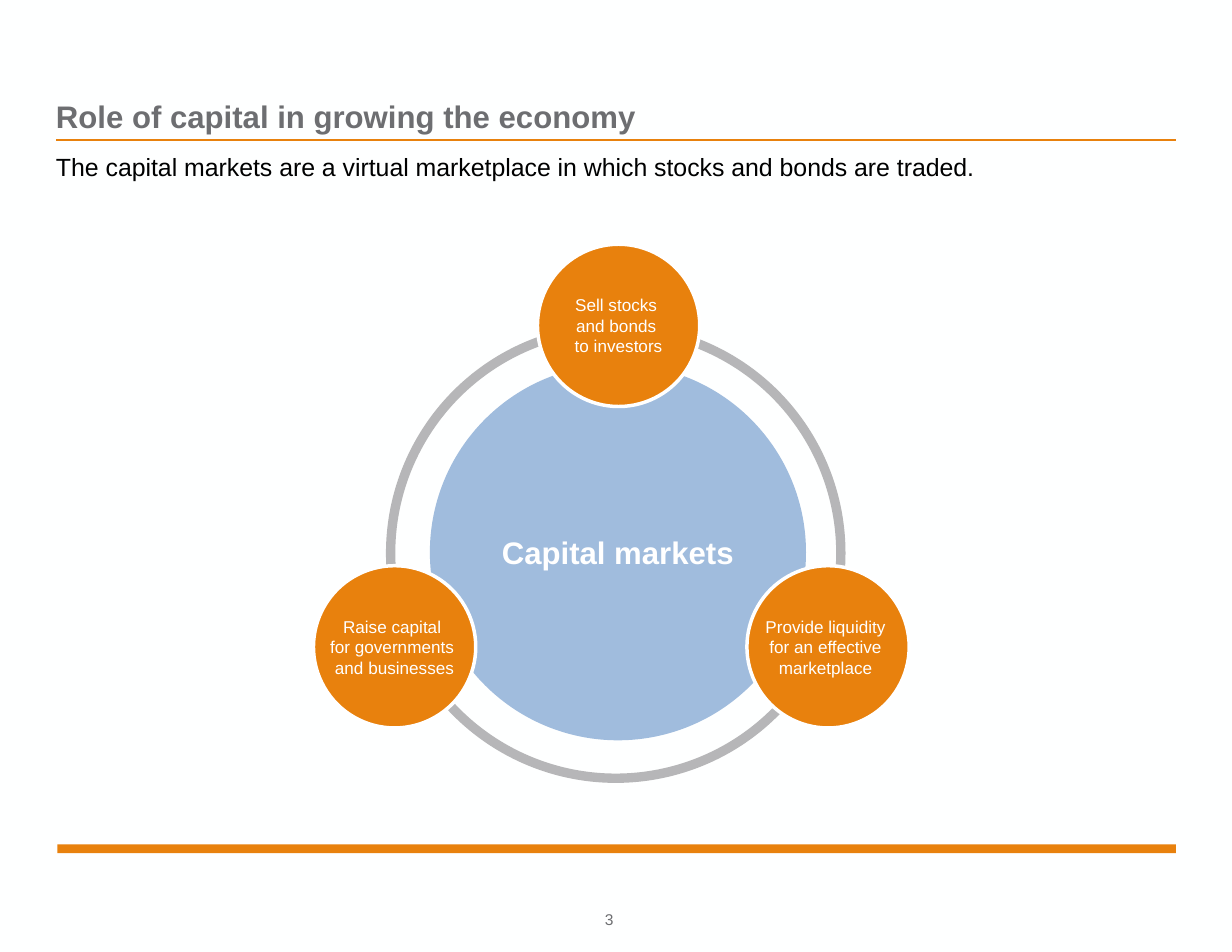
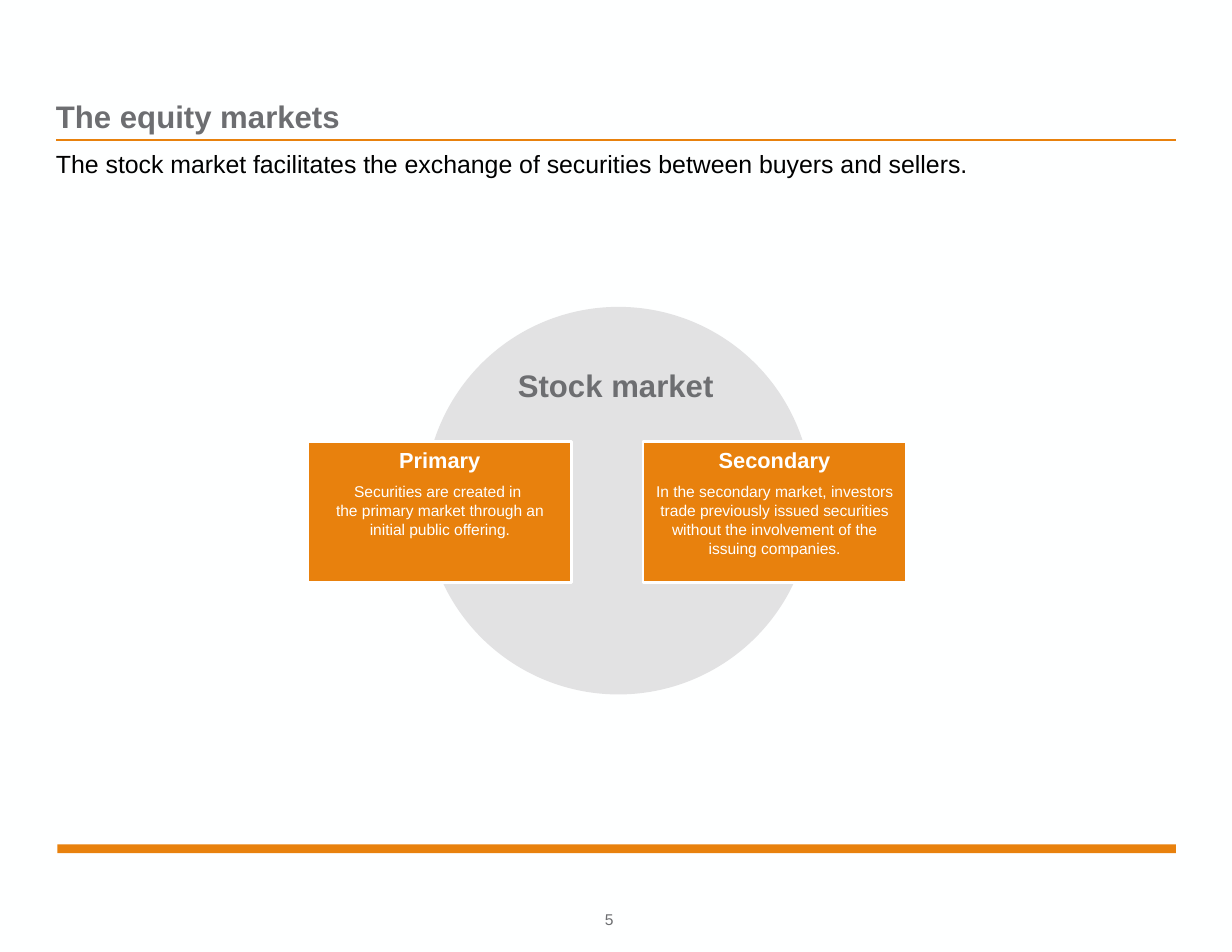
from dataclasses import dataclass

from lxml import etree
from pptx import Presentation
from pptx.dml.color import RGBColor
from pptx.enum.shapes import MSO_CONNECTOR, MSO_SHAPE
from pptx.enum.text import MSO_ANCHOR, PP_ALIGN
from pptx.oxml.ns import qn
from pptx.util import Cm, Pt

ELLIPSE, RECTANGLE = MSO_SHAPE.OVAL, MSO_SHAPE.RECTANGLE
STRAIGHT = MSO_CONNECTOR.STRAIGHT
TOP, MIDDLE, BOTTOM = MSO_ANCHOR.TOP, MSO_ANCHOR.MIDDLE, MSO_ANCHOR.BOTTOM
LEFT, CENTER = PP_ALIGN.LEFT, PP_ALIGN.CENTER


@dataclass(frozen=True)
class Theme:
    font: str = "Arial"
    background: str = "FEFFFF"
    accent: str = "E8810D"
    heading: str = "6D6E71"
    body: str = "000000"
    white: str = "FFFFFF"
    blue: str = "A0BCDD"
    ring: str = "B6B6B8"
    pale: str = "E2E2E3"
    title_size: int = 20
    lead_size: int = 16
    card_title_size: int = 14
    circle_size: int = 11
    small_size: int = 10


THEME = Theme()
MARGIN = 1.27
CONTENT_WIDTH = 25.4


def color(value):
    return RGBColor.from_string(value)


def set_values(target, values):
    for name, value in values.items():
        setattr(target, name, value)


def write(box, paragraphs, align=LEFT, anchor=TOP, wrap=True, inset=0.0, gap=0):
    frame = box.text_frame
    side, edge = Cm(inset), Cm(inset / 2)
    set_values(frame, {
        "word_wrap": wrap, "vertical_anchor": anchor,
        "margin_left": side, "margin_right": side,
        "margin_top": edge, "margin_bottom": edge,
    })
    for index, (text, size, tint, bold) in enumerate(paragraphs):
        para = frame.add_paragraph() if index else frame.paragraphs[0]
        set_values(para, {"alignment": align, "space_before": Pt(gap if index else 0)})
        for number, line in enumerate(text.split("\n")):
            if number:
                para.add_line_break()
            span = para.add_run()
            span.text = line
            set_values(span.font, {"name": THEME.font, "size": Pt(size), "bold": bold})
            span.font.color.rgb = color(tint)


def add_text(page, left, top, width, height, text, size, tint, bold=False, **layout):
    box = page.shapes.add_textbox(Cm(left), Cm(top), Cm(width), Cm(height))
    write(box, [(text, size, tint, bold)], **layout)


def add_block(page, kind, left, top, width, height, fill=None, line=None, weight=0):
    box = page.shapes.add_shape(kind, Cm(left), Cm(top), Cm(width), Cm(height))
    box.shadow.inherit = False
    if fill:
        box.fill.solid()
        box.fill.fore_color.rgb = color(fill)
    else:
        box.fill.background()
    if line:
        box.line.color.rgb = color(line)
        box.line.width = Pt(weight)
    else:
        box.line.fill.background()
    return box


def add_circle(page, left, top, diameter, **look):
    return add_block(page, ELLIPSE, left, top, diameter, diameter, **look)


def add_title_rule(page):
    height = Cm(3.18)
    rule = page.shapes.add_connector(
        STRAIGHT, Cm(MARGIN), height, Cm(MARGIN + CONTENT_WIDTH), height)
    rule.line.color.rgb = color(THEME.accent)
    rule.line.width = Pt(1)
    etree.SubElement(rule._element.spPr, qn("a:effectLst"))


def add_page(deck, title, lead, number, lead_top):
    page = deck.slides.add_slide(deck.slide_layouts[6])
    add_block(page, RECTANGLE, 1.3, 19.15, 25.37, 0.2, fill=THEME.accent)
    add_title_rule(page)
    add_text(page, MARGIN, 1.32, CONTENT_WIDTH, 1.73, title,
             THEME.title_size, THEME.heading, True, anchor=BOTTOM)
    add_text(page, MARGIN, lead_top, 21.56, 0.94, lead, THEME.lead_size, THEME.body)
    add_text(page, 13.72, 20.62, 0.43, 0.43, number,
             THEME.small_size, THEME.heading, anchor=BOTTOM, wrap=False)
    return page


def add_role(page, left, top, text):
    circle = add_circle(page, left, top, 3.68,
                        fill=THEME.accent, line=THEME.white, weight=2.25)
    write(circle, [(text, THEME.circle_size, THEME.white, False)],
          align=CENTER, anchor=MIDDLE, wrap=False)


def add_card(page, left, heading, text):
    card = add_block(page, RECTANGLE, left, 10.01, 5.97, 3.2,
                     fill=THEME.accent, line=THEME.white, weight=1.5)
    write(card, [(heading, THEME.card_title_size, THEME.white, True),
                 (text, THEME.small_size, THEME.white, False)],
          align=CENTER, inset=0.25, gap=6)


def build_capital_markets(deck):
    page = add_page(
        deck, "Role of capital in growing the economy",
        "The capital markets are a virtual marketplace in which stocks and bonds are traded.",
        "3", 3.43)
    add_circle(page, 8.86, 7.44, 10.21, line=THEME.ring, weight=6)
    hub = add_circle(page, 9.75, 8.26, 8.53, fill=THEME.blue)
    write(hub, [("Capital markets", THEME.title_size, THEME.white, True)],
          align=CENTER, anchor=MIDDLE, wrap=False)
    roles = [
        (12.19, 5.54, "Sell stocks \nand bonds \nto investors"),
        (7.11, 12.83, "Raise capital \nfor governments \nand businesses"),
        (16.94, 12.83, "Provide liquidity \nfor an effective \nmarketplace "),
    ]
    for left, top, text in roles:
        add_role(page, left, top, text)


def build_equity_markets(deck):
    page = add_page(
        deck, "The equity markets",
        "The stock market facilitates the exchange of securities between buyers and sellers.",
        "5", 3.38)
    add_circle(page, 9.63, 6.96, 8.79, fill=THEME.pale)
    add_text(page, 11.35, 8.18, 5.23, 1.12, "Stock market",
             THEME.title_size, THEME.heading, True, align=CENTER, inset=0.25)
    markets = [
        ("Primary", "Securities are created in \nthe primary market through an "
                    "initial public offering."),
        ("Secondary", "In the secondary market, investors trade previously issued "
                      "securities without the involvement of the issuing companies."),
    ]
    for index, (heading, text) in enumerate(markets):
        add_card(page, 6.99 + index * 7.59, heading, text)


def main():
    deck = Presentation()
    set_values(deck, {"slide_width": Cm(27.94), "slide_height": Cm(21.59)})
    backdrop = deck.slide_master.background.fill
    backdrop.solid()
    backdrop.fore_color.rgb = color(THEME.background)
    build_capital_markets(deck)
    build_equity_markets(deck)
    deck.save("out.pptx")


if __name__ == "__main__":
    main()
